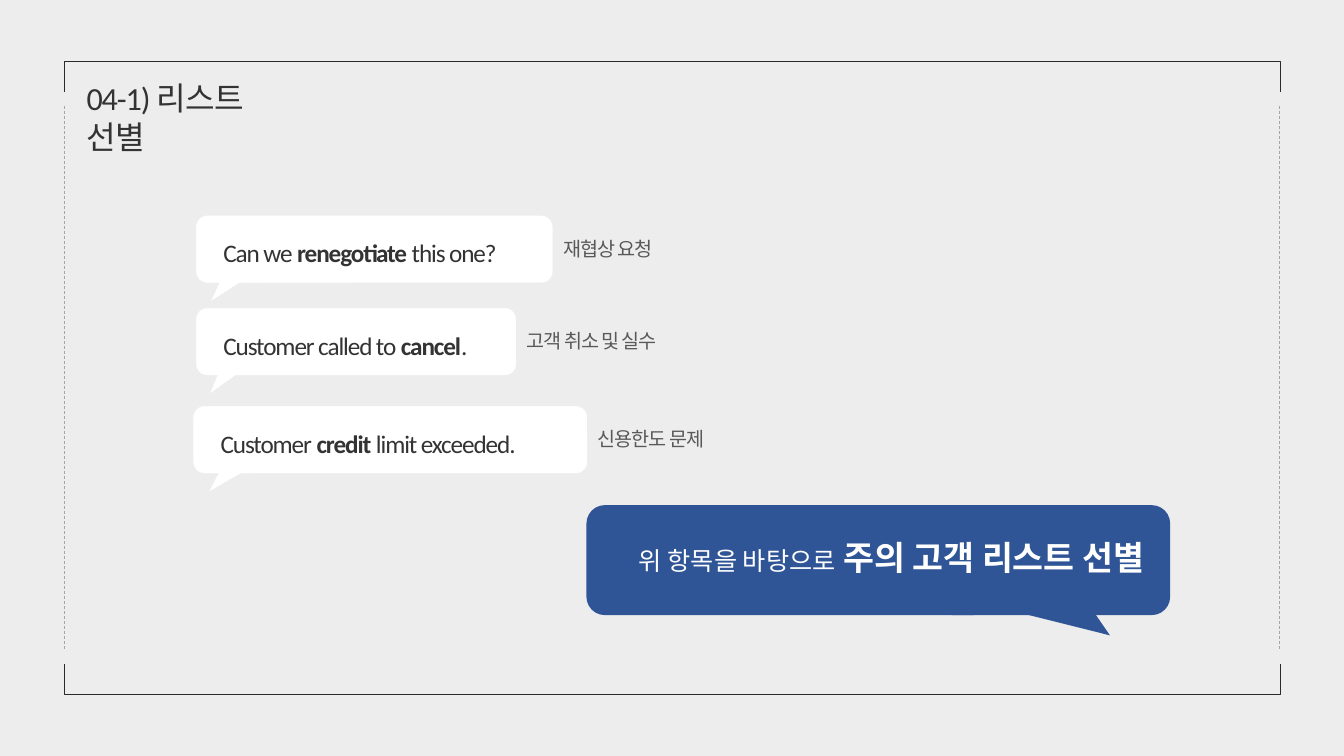
from dataclasses import dataclass

from lxml import etree
from pptx import Presentation
from pptx import util as u
from pptx.dml.color import RGBColor
from pptx.enum import dml, shapes, text
from pptx.oxml import ns


@dataclass(frozen=True)
class Theme:
    """Colours, fonts and type sizes of the slide."""
    background: str = "EDEDED"
    frame: str = "2A2A2A"
    side: str = "A6A6A6"
    ink: str = "333333"
    note: str = "595959"
    white: str = "FFFFFF"
    accent: str = "2F5597"
    latin: str = "Calibri"
    korean: str = "Noto Sans CJK KR"
    title_size: int = 23
    body_size: int = 18
    note_size: int = 14
    strong_size: int = 24
    tight: float = -0.8
    hairline: float = 0.5
    insets: tuple = (0.15, 0.05)


class Deck:
    """Draws styled elements on the current slide."""

    def __init__(self, theme):
        """Open a presentation with one title-only slide."""
        self.theme = theme
        self.prs = Presentation()
        self.prs.slide_width, self.prs.slide_height = u.Cm(33.87), u.Cm(19.05)
        self.s = self.prs.slides.add_slide(self.prs.slide_layouts[5])
        self.target = self.s.shapes
        fill = self.s.background.fill
        fill.solid()
        fill.fore_color.rgb = RGBColor.from_string(theme.background)

    def group(self):
        """Send the next elements to a new group."""
        self.target = self.s.shapes.add_group_shape().shapes

    def shape(self, kind, box, fill=None, line=None, width=0.25, adj=()):
        """Add a preset shape."""
        sp = self.target.add_shape(kind, *map(u.Cm, box))
        sp.shadow.inherit = False
        for i, value in enumerate(adj):
            sp.adjustments[i] = value
        if fill:
            sp.fill.solid()
            sp.fill.fore_color.rgb = RGBColor.from_string(fill)
        else:
            sp.fill.background()
        if line:
            sp.line.color.rgb = RGBColor.from_string(line)
            sp.line.width = u.Pt(width)
        else:
            sp.line.fill.background()
        return sp

    def bracket(self, centre_y, rotation):
        """Add a frame end turned sideways across the slide."""
        depth, length = 0.76, 30.63
        box = (16.94 - depth / 2, centre_y - length / 2, depth, length)
        sp = self.shape(shapes.MSO_SHAPE.RIGHT_BRACKET, box,
                        line=self.theme.frame, width=self.theme.hairline, adj=(0,))
        sp.rotation = rotation

    def side(self, x):
        """Add a dashed vertical frame line."""
        cxn = self.target.add_connector(shapes.MSO_CONNECTOR.STRAIGHT,
                                        *map(u.Cm, (x, 2.67, x, 16.36)))
        cxn.line.color.rgb = RGBColor.from_string(self.theme.side)
        cxn.line.width = u.Pt(self.theme.hairline)
        cxn.line.dash_style = dml.MSO_LINE.DASH
        etree.SubElement(cxn._element.spPr, ns.qn("a:effectLst"))

    def fill_text(self, sp, runs, size, color, font, spacing=0, insets=None):
        """Write (wording, bold, size) runs into one paragraph."""
        tf = sp.text_frame
        tf.word_wrap = True
        tf.vertical_anchor = text.MSO_ANCHOR.TOP
        if insets:
            tf.margin_left = tf.margin_right = u.Cm(insets[0])
            tf.margin_top = tf.margin_bottom = u.Cm(insets[1])
        p = tf.paragraphs[0]
        p.alignment = text.PP_ALIGN.LEFT
        for wording, bold, *own_size in runs:
            r = p.add_run()
            r.text = wording
            r.font.size = u.Pt(own_size[0] if own_size else size)
            r.font.bold = bold
            r.font.name = font
            r.font.color.rgb = RGBColor.from_string(color)
            rpr = r._r.get_or_add_rPr()
            etree.SubElement(rpr, ns.qn("a:ea")).set("typeface", font)
            if spacing:
                rpr.set("spc", str(round(spacing * 100)))
        return p

    def textbox(self, box, *args, **kwargs):
        """Add a text box and return its paragraph."""
        return self.fill_text(self.target.add_textbox(*map(u.Cm, box)), *args, **kwargs)

    def title(self, box, wording):
        """Place and format the title placeholder."""
        t, sp = self.theme, self.s.shapes.title
        sp.left, sp.top, sp.width, sp.height = map(u.Cm, box)
        sp.text_frame.auto_size = text.MSO_AUTO_SIZE.NONE
        p = self.fill_text(sp, [(wording, False)], t.title_size, t.ink, t.latin,
                           t.tight, t.insets)
        p.line_spacing = 1.0

    def quote(self, left, top, width, text_width, runs, note):
        """Add a white speech bubble with its note on the right."""
        t, kinds = self.theme, shapes.MSO_SHAPE
        self.shape(kinds.ROUNDED_RECTANGLE, (left, top, width, 1.68), t.white, t.white)
        self.shape(kinds.OVAL_CALLOUT, (left + 0.13, top + 0.18, width * 0.31, 1.5),
                   t.white, adj=(-0.413, 0.807))
        p = self.textbox((left + 0.53, top + 0.35, text_width, 0.93), runs,
                         t.body_size, t.ink, t.latin, t.tight, t.insets)
        p.line_spacing = 1.2
        p = self.textbox((left + width + 0.13, top + 0.48, 4.45, 0.71), [(note, False)],
                         t.note_size, t.note, t.korean, t.tight, t.insets)
        p.space_after = u.Pt(2)

    def conclusion(self, runs):
        """Add the large accent bubble."""
        t, kinds = self.theme, shapes.MSO_SHAPE
        self.shape(kinds.OVAL_CALLOUT, (19.2, 12.93, 10.13, 2.57), t.accent,
                   adj=(0.366, 0.699))
        self.shape(kinds.ROUNDED_RECTANGLE, (14.78, 12.73, 14.71, 2.77), t.accent)
        self.textbox((15.85, 13.41, 14.96, 1.27), runs, t.body_size, t.white, t.latin)


QUOTES = [
    (4.95, 5.44, 8.97, 7.85,
     [("Can we ", False), ("renegotiate", True), (" this one?", False)], "재협상 요청"),
    (4.95, 7.77, 8.05, 7.01,
     [("Customer called to ", False), ("cancel", True), (".", False)], "고객 취소 및 실수"),
    (4.88, 10.24, 9.91, 10.26,
     [("Customer ", False), ("credit", True), (" limit exceeded.", False)], "신용한도 문제"),
]


def main():
    """Build and save the slide."""
    theme = Theme()
    deck = Deck(theme)
    deck.title((2.03, 1.93, 5.77, 1.09), "04-1) 리스트 선별")
    deck.bracket(1.93, 270)
    deck.bracket(17.12, 90)
    for x in (1.62, 32.25):
        deck.side(x)
    deck.group()
    for quote in QUOTES:
        deck.quote(*quote)
    deck.group()
    deck.conclusion([("위 항목을 바탕으로", False),
                     (" 주의 고객 리스트 선별", True, theme.strong_size)])
    deck.prs.save("out.pptx")


if __name__ == "__main__":
    main()
